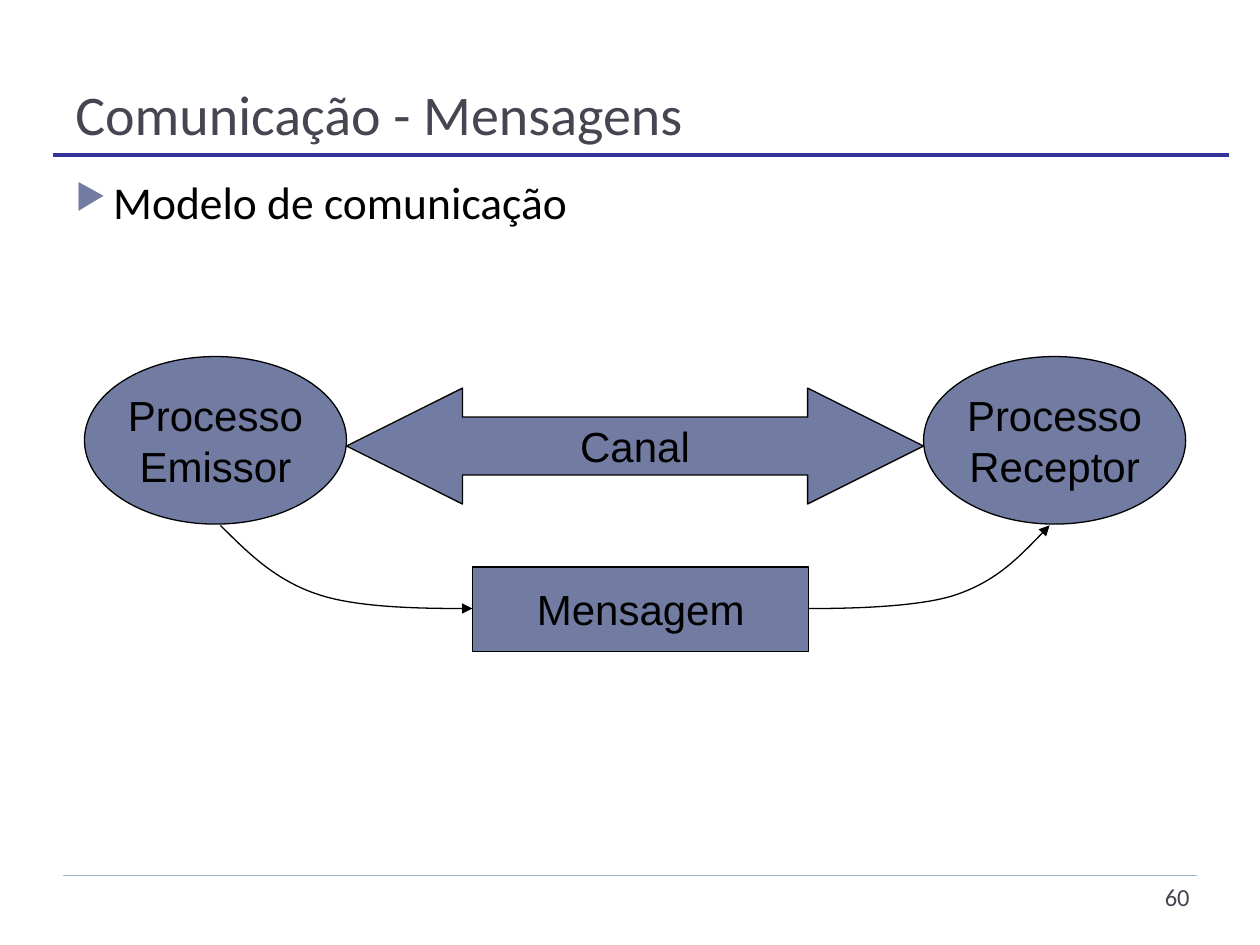
from lxml import etree
from pptx import Presentation
from pptx.dml.color import RGBColor
from pptx.enum.shapes import MSO_CONNECTOR, MSO_SHAPE
from pptx.enum.text import MSO_ANCHOR, PP_ALIGN
from pptx.oxml.ns import qn
from pptx.util import Inches, Pt

LINE = MSO_CONNECTOR.STRAIGHT
ELLIPSE, RECT = MSO_SHAPE.OVAL, MSO_SHAPE.RECTANGLE
DOUBLE_ARROW = MSO_SHAPE.LEFT_RIGHT_ARROW
LEFT, CENTER, RIGHT = PP_ALIGN.LEFT, PP_ALIGN.CENTER, PP_ALIGN.RIGHT
TOP, MIDDLE, BOTTOM = MSO_ANCHOR.TOP, MSO_ANCHOR.MIDDLE, MSO_ANCHOR.BOTTOM

BLACK = RGBColor(0x00, 0x00, 0x00)
SLATE = RGBColor(0x72, 0x7C, 0xA3)
DARK_GRAY = RGBColor(0x46, 0x46, 0x53)
NAVY = RGBColor(0x33, 0x33, 0x99)
PALE_BLUE = RGBColor(0x9F, 0xB8, 0xCD)

TITLE = {"name": "Calibri", "size": Pt(32), "color": DARK_GRAY}
BODY = {"name": "Calibri", "size": Pt(26), "color": BLACK}
NUMBER = {"name": "Calibri", "size": Pt(14), "color": DARK_GRAY}
LABEL = {"name": "Arial", "size": Pt(24), "color": BLACK}


class SlideBuilder:
    def __init__(self, slide):
        self.shapes = slide.shapes
        self.fill, self.outline, self.weight = SLATE, BLACK, 0.75

    def set_text(self, sp, text, fmt, align, anchor, wrap):
        tf = sp.text_frame
        tf.word_wrap = wrap
        tf.vertical_anchor = anchor
        p = tf.paragraphs[0]
        p.text = text
        p.alignment = align
        for r in p.runs:
            for key, value in fmt.items():
                if key == "color":
                    r.font.color.rgb = value
                else:
                    setattr(r.font, key, value)
        return p

    def stroke(self, sp, color, weight):
        sp.line.color.rgb = color
        sp.line.width = Pt(weight)

    def text(self, box, text, fmt, align=LEFT, anchor=TOP):
        sp = self.shapes.add_textbox(*map(Inches, box))
        return self.set_text(sp, text, fmt, align, anchor, True)

    def bullet(self, box, text, fmt):
        p = self.text(box, text, fmt)
        pPr = p._p.get_or_add_pPr()
        pPr.set("marL", str(Inches(0.3)))
        pPr.set("indent", str(Inches(-0.3)))
        color = etree.SubElement(pPr, qn("a:buClr"))
        etree.SubElement(color, qn("a:srgbClr"), val=str(self.fill))
        etree.SubElement(pPr, qn("a:buSzPct"), val="76000")
        etree.SubElement(pPr, qn("a:buChar"), char="▶")

    def rule(self, x1, x2, y, color, weight):
        cn = self.shapes.add_connector(LINE, *map(Inches, (x1, y, x2, y)))
        self.stroke(cn, color, weight)
        etree.SubElement(cn._element.spPr, qn("a:effectLst"))

    def node(self, kind, box, text, adjustments=()):
        sp = self.shapes.add_shape(kind, *map(Inches, box))
        sp.shadow.inherit = False
        for i, value in enumerate(adjustments):
            sp.adjustments[i] = value
        sp.fill.solid()
        sp.fill.fore_color.rgb = self.fill
        self.stroke(sp, self.outline, self.weight)
        self.set_text(sp, text, LABEL, CENTER, MIDDLE, False)

    def curved_arrow(self, points):
        """Start point followed by groups of three Bezier points."""
        points = [(Inches(x), Inches(y)) for x, y in points]
        builder = self.shapes.build_freeform(*points[0])
        builder.add_line_segments(points[1:], close=False)
        sp = builder.convert_to_shape()
        sp.shadow.inherit = False
        sp.fill.background()
        self.stroke(sp, self.outline, self.weight)
        ln = sp._element.spPr.find(qn("a:ln"))
        etree.SubElement(ln, qn("a:tailEnd"), type="triangle")
        # Turn each three straight segments into one Bezier segment
        segments = list(sp._element.iter(qn("a:lnTo")))
        for i in range(0, len(segments), 3):
            curve = etree.Element(qn("a:cubicBezTo"))
            segments[i].addprevious(curve)
            for segment in segments[i:i + 3]:
                curve.append(segment[0])
                segment.getparent().remove(segment)


def main():
    prs = Presentation()
    prs.slide_width, prs.slide_height = Inches(10), Inches(7.5)
    s = SlideBuilder(prs.slides.add_slide(prs.slide_layouts[6]))

    # Rules, title, page number and bullet
    s.rule(0.5, 9.5, 6.95, PALE_BLUE, 0.75)
    s.rule(0.42, 9.75, 1.23, NAVY, 2)
    s.text((0.5, 0.13, 9, 1.08), "Comunicação - Mensagens", TITLE, anchor=BOTTOM)
    s.text((7.36, 6.95, 2.18, 0.4), "60", NUMBER, align=RIGHT)
    s.bullet((0.5, 1.33, 9, 5.4), "Modelo de comunicação", BODY)

    # Processes and the channel between them
    for x, role in ((0.67, "Emissor"), (7.33, "Receptor")):
        s.node(ELLIPSE, (x, 2.83, 2.08, 1.33), f"Processo\n{role}")
    s.node(DOUBLE_ARROW, (2.75, 3.08, 4.58, 0.92), "Canal", (0.5, 1))

    # Message and its way from sender to receiver
    s.node(RECT, (3.75, 4.5, 2.67, 0.67), "Mensagem")
    heights = (4.17, 4.39, 4.61, 4.72, 4.83, 4.83, 4.83)
    outgoing = (1.75, 1.97, 2.19, 2.53, 2.86, 3.55, 3.75)
    incoming = (6.42, 6.61, 7.27, 7.59, 7.91, 8.12, 8.33)
    s.curved_arrow(list(zip(outgoing, heights)))
    s.curved_arrow(list(zip(incoming, reversed(heights))))

    prs.save("out.pptx")


if __name__ == "__main__":
    main()
